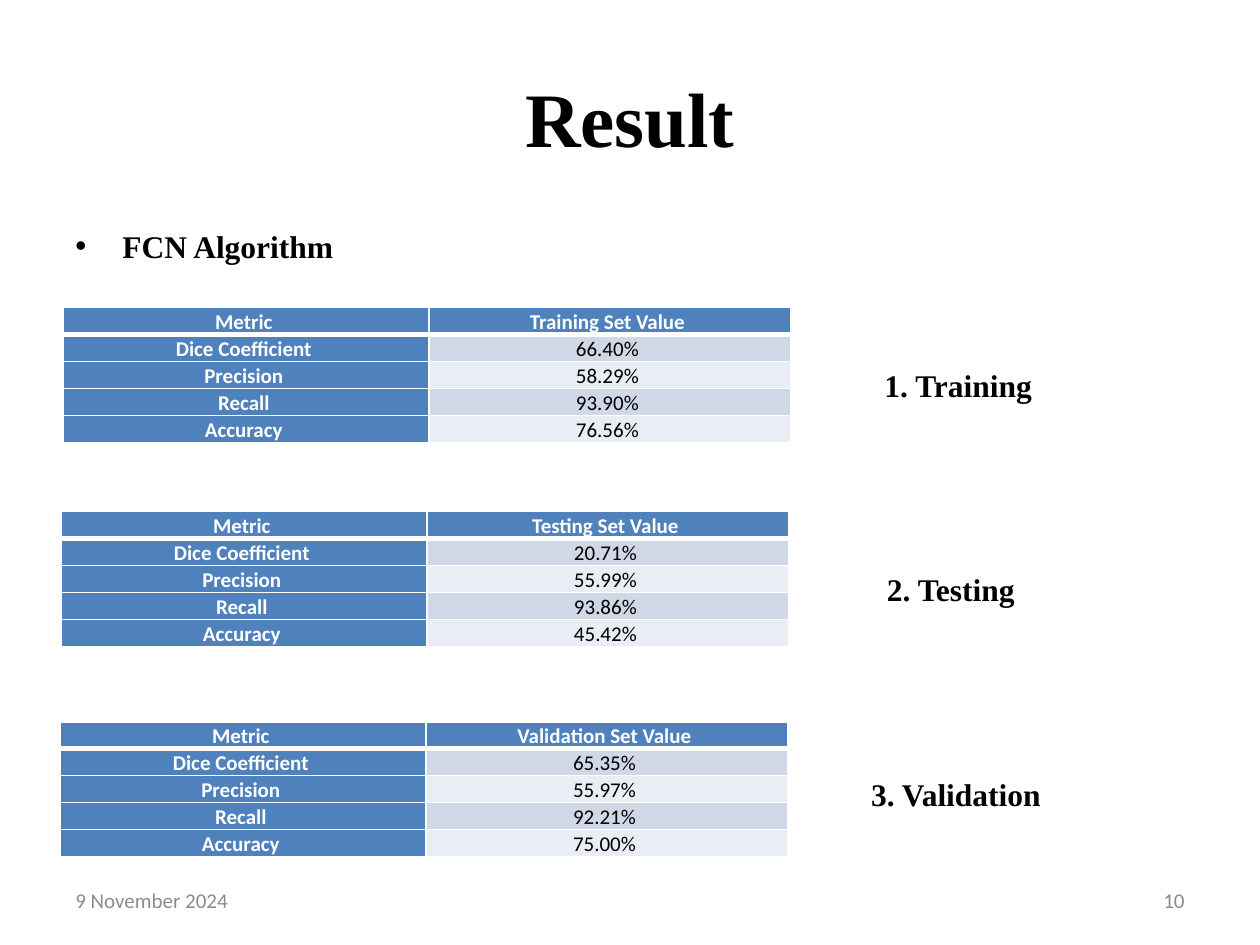
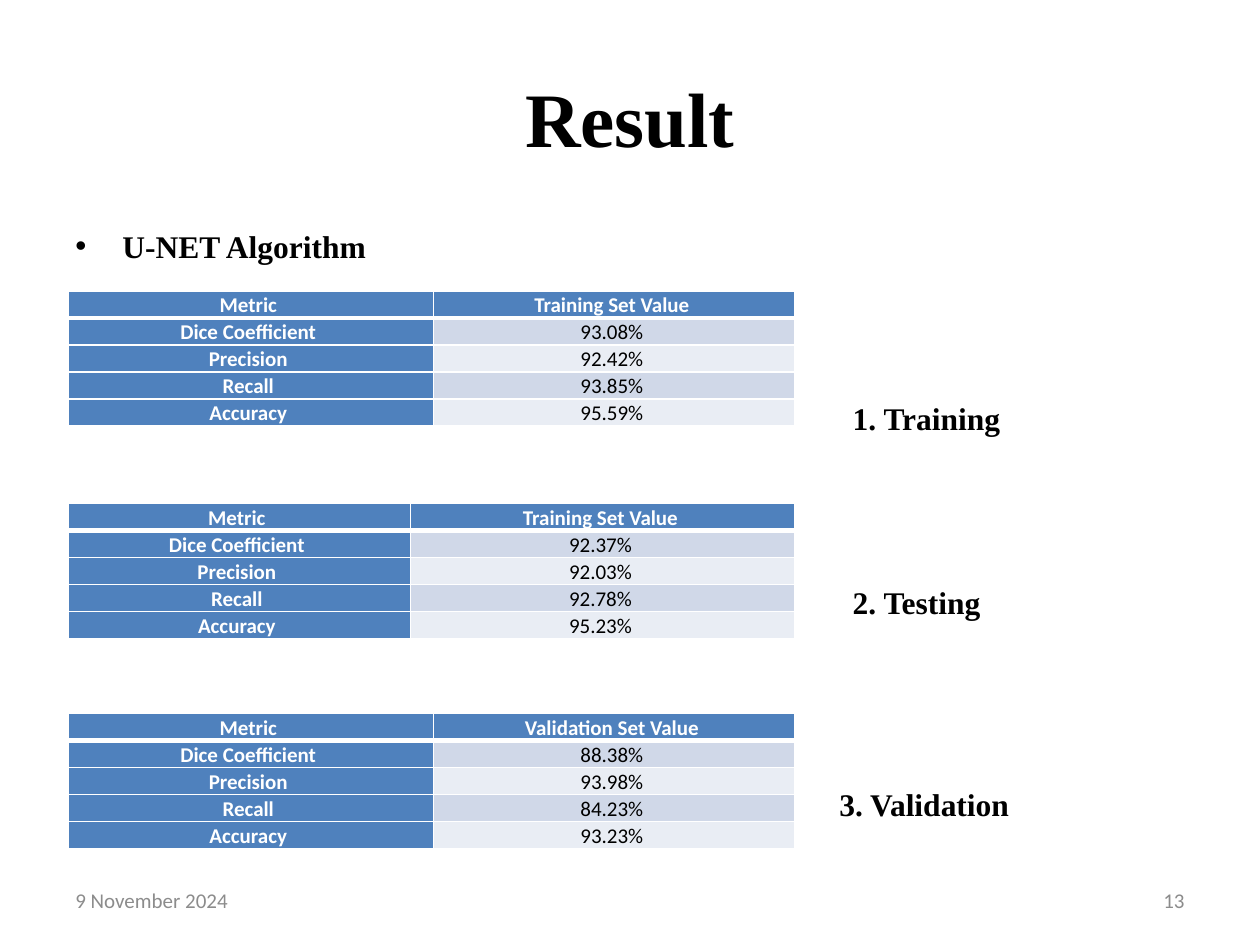
from pptx import Presentation
from pptx import util as u
from pptx.dml import color
from pptx.enum import text
from pptx.oxml import ns, xmlchemy

Cm, Pt = u.Cm, u.Pt

# Shared look
SERIF, SANS = "Times New Roman", "Calibri"
BLACK, WHITE, GREY = "000000", "FFFFFF", "8C8C8C"
BLUE, BANDS = "4F81BD", ("D0D8E8", "E9EDF4")
LEFT, RIGHT, MIDDLE = text.PP_ALIGN.LEFT, text.PP_ALIGN.RIGHT, text.MSO_ANCHOR.MIDDLE
CENTER, TOP = text.PP_ALIGN.CENTER, text.MSO_ANCHOR.TOP

PAGE_WIDTH, PAGE_HEIGHT, MARGIN = 25.4, 19.05, 1.27
TABLE_WIDTH, METRIC_WIDTH, ROW_HEIGHT = 14.66, 7.37, 0.52
LABEL_INDENT = 2.54
METRICS = ("Dice Coefficient", "Precision", "Recall", "Accuracy")

# Each result: (header, values, table left/top, metric column, label, label left/top, indent)
FCN_RESULTS = [
    ("Training Set Value", ("66.40%", "58.29%", "93.90%", "76.56%"),
     (1.28, 6.2), METRIC_WIDTH, "1. Training", (15.04, 7.24), LABEL_INDENT),
    ("Testing Set Value", ("20.71%", "55.99%", "93.86%", "45.42%"),
     (1.24, 10.31), METRIC_WIDTH, "2. Testing", (15.09, 11.35), LABEL_INDENT),
    ("Validation Set Value", ("65.35%", "55.97%", "92.21%", "75.00%"),
     (1.22, 14.55), METRIC_WIDTH, "3. Validation", (17.31, 15.47), 0),
]
UNET_RESULTS = [
    ("Training Set Value", ("93.08%", "92.42%", "93.85%", "95.59%"),
     (1.37, 5.87), METRIC_WIDTH, "1. Training", (14.4, 7.9), LABEL_INDENT),
    ("Training Set Value", ("92.37%", "92.03%", "92.78%", "95.23%"),
     (1.37, 10.15), 6.91, "2. Testing", (14.4, 11.61), LABEL_INDENT),
    ("Validation Set Value", ("88.38%", "93.98%", "84.23%", "93.23%"),
     (1.37, 14.38), METRIC_WIDTH, "3. Validation", (16.67, 15.67), 0),
]


def rgb(value):
    return color.RGBColor.from_string(value)


def format_para(para, size, font, ink, bold=False, align=LEFT):
    para.alignment = align
    for span in para.runs:
        span.font.size = Pt(size)
        span.font.name = font
        span.font.bold = bold
        span.font.color.rgb = rgb(ink)


def add_text(page, words, left, top, width, height, size, font, ink,
             bold=False, align=LEFT, anchor=TOP):
    box = page.shapes.add_textbox(Cm(left), Cm(top), Cm(width), Cm(height))
    frame = box.text_frame
    frame.word_wrap = True
    frame.vertical_anchor = anchor
    frame.text = words
    para = frame.paragraphs[0]
    format_para(para, size, font, ink, bold, align)
    return para


def indent_para(para, left, first=0, bullet=None):
    properties = para._p.get_or_add_pPr()
    properties.set("marL", str(Cm(left)))
    properties.set("indent", str(Cm(first)))
    if bullet:
        font = xmlchemy.OxmlElement("a:buFont")
        font.set("typeface", "Arial")
        mark = xmlchemy.OxmlElement("a:buChar")
        mark.set("char", bullet)
        properties.extend([font, mark])


def add_heading(page, algorithm, height):
    add_text(page, "Result", MARGIN, 0.76, PAGE_WIDTH - 2 * MARGIN, 3.18,
             44, SERIF, BLACK, True, CENTER, MIDDLE)
    para = add_text(page, algorithm, MARGIN, 4.45, PAGE_WIDTH - 2 * MARGIN, height,
                    18, SERIF, BLACK, True)
    indent_para(para, 0.95, -0.95, "•")


def add_footer(page, number):
    width = 5.93
    for words, left, align in (("9 November 2024", MARGIN, LEFT),
                               (number, PAGE_WIDTH - MARGIN - width, RIGHT)):
        add_text(page, words, left, 17.65, width, 1.01, 12, SANS, GREY,
                 align=align, anchor=MIDDLE)


def add_label(page, words, place, indent):
    left, top = place
    para = add_text(page, words, left, top, PAGE_WIDTH - left, 1, 18, SERIF, BLACK, True)
    para.line_spacing = 1.03
    para.space_after = Pt(0.7)
    indent_para(para, indent)


def set_borders(cell, top, bottom):
    properties = cell._tc.get_or_add_tcPr()
    for side, width in (("L", 1), ("R", 1), ("T", top), ("B", bottom)):
        line = xmlchemy.OxmlElement("a:ln" + side)
        line.set("w", str(Pt(width)))
        fill = xmlchemy.OxmlElement("a:solidFill")
        ink = xmlchemy.OxmlElement("a:srgbClr")
        ink.set("val", WHITE)
        fill.append(ink)
        line.append(fill)
        properties.append(line)


def fill_cell(cell, words, row, column):
    cell.text = words
    cell.margin_left, cell.margin_right = Cm(0.2), Cm(0.3)
    cell.margin_top = cell.margin_bottom = 0
    is_head = row == 0 or column == 0
    para = cell.text_frame.paragraphs[0]
    format_para(para, 12, SANS, WHITE if is_head else BLACK, is_head, CENTER)
    para.line_spacing = 1.07
    para.space_after = Pt(0.2)
    # A heavy rule separates the header from the values
    set_borders(cell, 3 if row == 1 else 1, 3 if row == 0 else 1)
    cell.fill.solid()
    cell.fill.fore_color.rgb = rgb(BLUE if is_head else BANDS[(row - 1) % 2])


def add_metric_table(page, header, values, place, metric_width):
    rows = [("Metric", header), *zip(METRICS, values)]
    left, top = place
    table = page.shapes.add_table(len(rows), 2, Cm(left), Cm(top), Cm(TABLE_WIDTH),
                                  Cm(ROW_HEIGHT * len(rows))).table
    table.columns[0].width = Cm(metric_width)
    table.columns[1].width = Cm(TABLE_WIDTH - metric_width)
    for row, entries in enumerate(rows):
        table.rows[row].height = Cm(ROW_HEIGHT)
        for column, words in enumerate(entries):
            fill_cell(table.cell(row, column), words, row, column)


def add_result_page(deck, algorithm, number, body_height, results):
    page = deck.slides.add_slide(deck.slide_layouts[6])
    add_heading(page, algorithm, body_height)
    add_footer(page, number)
    for header, values, place, metric_width, label, label_place, indent in results:
        add_metric_table(page, header, values, place, metric_width)
        add_label(page, label, label_place, indent)


def main():
    deck = Presentation()
    deck.slide_width, deck.slide_height = Cm(PAGE_WIDTH), Cm(PAGE_HEIGHT)
    add_result_page(deck, "FCN Algorithm", "10", 12.57, FCN_RESULTS)
    add_result_page(deck, "U-NET Algorithm", "13", 2.11, UNET_RESULTS)
    deck.save("out.pptx")


if __name__ == "__main__":
    main()
